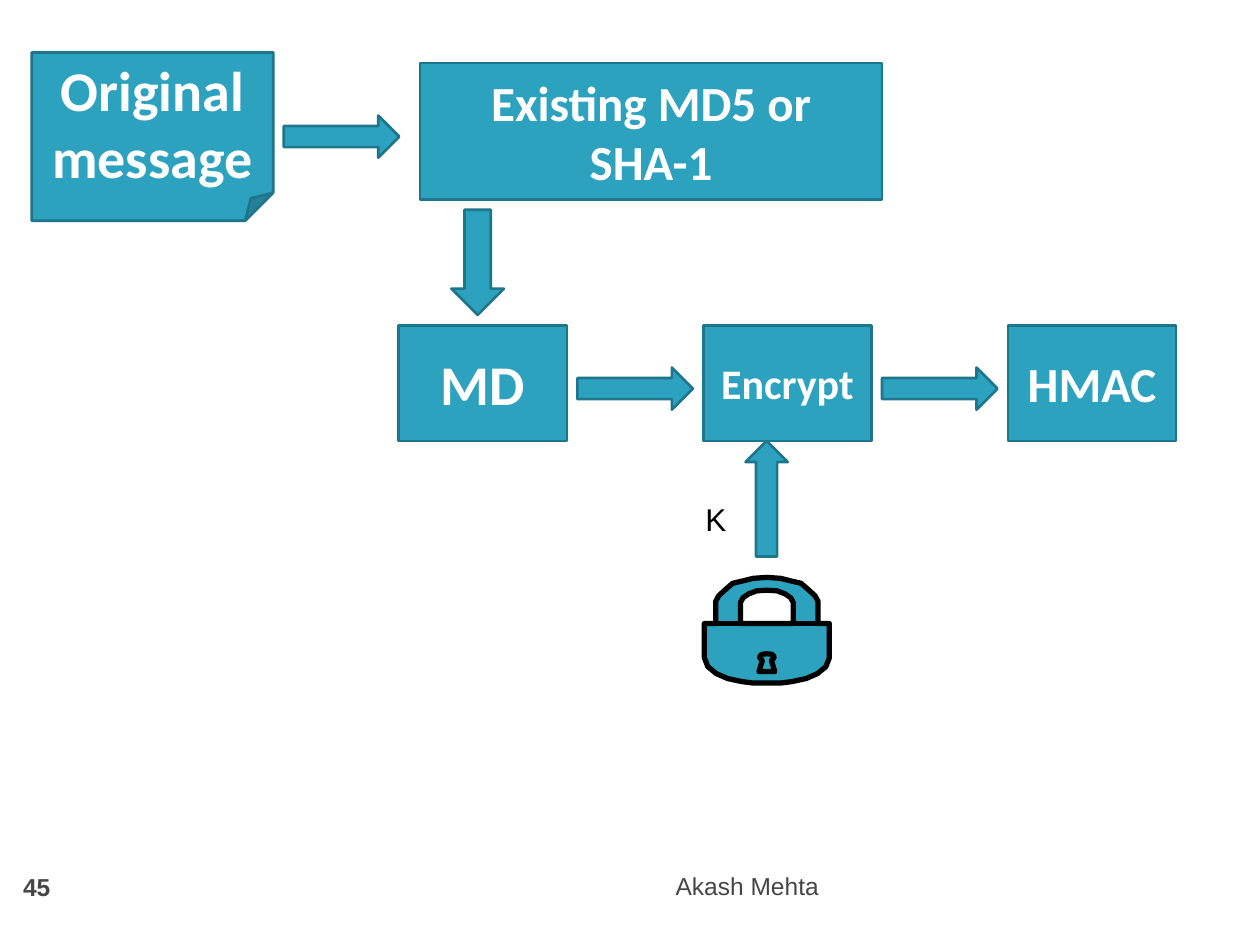
"""Build the slide showing how an HMAC is made from a message digest and a key."""
import pptx
import pptx.util
import pptx.dml.color
import pptx.enum.shapes
import pptx.enum.text
import lxml.etree

Cm = pptx.util.Cm
Shape = pptx.enum.shapes.MSO_SHAPE
Align = pptx.enum.text.PP_ALIGN
Anchor = pptx.enum.text.MSO_ANCHOR


def paint(color_format, value):
    """Set a fill, line or font colour from a hex string."""
    color_format.rgb = pptx.dml.color.RGBColor.from_string(value)


def write(shape, text, size=18, font="Arial", color="000000", bold=False,
          align=Align.LEFT, anchor=Anchor.MIDDLE, wrap=True):
    """Put one formatted paragraph into a shape."""
    frame = shape.text_frame
    frame.word_wrap = wrap
    frame.vertical_anchor = anchor
    para = frame.paragraphs[0]
    para.alignment = align
    span = para.add_run()
    span.text = text
    span.font.size = pptx.util.Pt(size)
    span.font.name = font
    span.font.bold = bold
    paint(span.font.color, color)


deck = pptx.Presentation()
deck.slide_width, deck.slide_height = Cm(25.4), Cm(19.05)
page = deck.slides.add_slide(deck.slide_layouts[6])
shapes = page.shapes

footer = shapes.add_textbox(Cm(1.7), Cm(17.35), Cm(15.06), Cm(1.02))
write(footer, "Akash Mehta", size=14, color="464646", align=Align.RIGHT)
number = shapes.add_textbox(Cm(0), Cm(17.35), Cm(1.48), Cm(1.06))
write(number, "45", size=14, color="464646", bold=True, align=Align.CENTER)

steps = [
    (Shape.FOLDED_CORNER, 0.64, 1.06, 4.87, 3.39, "Original message", 32),
    (Shape.RIGHT_ARROW, 5.72, 2.33, 2.33, 0.85, "", 0),
    (Shape.RECTANGLE, 8.47, 1.27, 9.31, 2.75, "Existing MD5 or SHA-1", 28),
    (Shape.DOWN_ARROW, 9.1, 4.23, 1.06, 2.12, "", 0),
    (Shape.UP_ARROW, 15.03, 8.89, 0.85, 2.33, "", 0),
]
step_pitch = 6.14
for column, (label, size) in enumerate([("MD", 32), ("Encrypt", 24), ("HMAC", 28)]):
    left = 8.04 + column * step_pitch
    steps.append((Shape.RECTANGLE, left, 6.56, 3.39, 2.33, label, size))
    if column < 2:
        steps.append((Shape.RIGHT_ARROW, left + 3.6, 7.41, 2.33, 0.85, "", 0))

for kind, left, top, width, height, label, size in steps:
    step = shapes.add_shape(kind, Cm(left), Cm(top), Cm(width), Cm(height))
    step.shadow.inherit = False
    step.fill.solid()
    paint(step.fill.fore_color, "2DA2BF")
    paint(step.line.color, "1E768C")
    step.line.width = pptx.util.Pt(1.5)
    if label:
        write(step, label, size=size, font="Calibri", color="FFFFFF", bold=True,
              align=Align.CENTER)

lock_center = 1546
body_half = [(0, 1164), (28, 1166), (48, 1171), (69, 1176), (84, 1189), (97, 1201),
             (103, 1212), (103, 1257), (126, 1257), (126, 1326), (119, 1344),
             (102, 1358), (79, 1368), (51, 1374), (28, 1377)]
opening_half = [(0, 1190), (20, 1191), (36, 1197), (48, 1205), (53, 1214), (53, 1257)]
keyhole_half = [(0, 1318), (10, 1319), (15, 1324), (13, 1328), (9, 1331), (16, 1354)]
lock_parts = []
for halves in ([body_half, opening_half], [keyhole_half]):
    builder = None
    for half in halves:
        outline = [(lock_center + x, y) for x, y in half]
        outline += [(lock_center - x, y) for x, y in reversed(half[1:])]
        if builder is None:
            builder = shapes.build_freeform(*outline[0], scale=Cm(0.01))
        else:
            builder.move_to(*outline[0])
        builder.add_line_segments(outline[1:], close=True)
    part = builder.convert_to_shape()
    part.shadow.inherit = False
    part.fill.solid()
    paint(part.fill.fore_color, "2DA2BF")
    lock_parts.append(part)

seam = shapes.add_connector(pptx.enum.shapes.MSO_CONNECTOR.STRAIGHT,
                            Cm(14.2), Cm(12.57), Cm(16.72), Cm(12.57))
lxml.etree.SubElement(seam._element.spPr, pptx.oxml.ns.qn("a:effectLst"))
for part in lock_parts + [seam]:
    paint(part.line.color, "000000")
    part.line.width = pptx.util.Pt(3)

key_label = shapes.add_textbox(Cm(13.97), Cm(9.96), Cm(0.91), Cm(1.02))
write(key_label, "K", anchor=Anchor.TOP, wrap=False)

deck.save("out.pptx")
